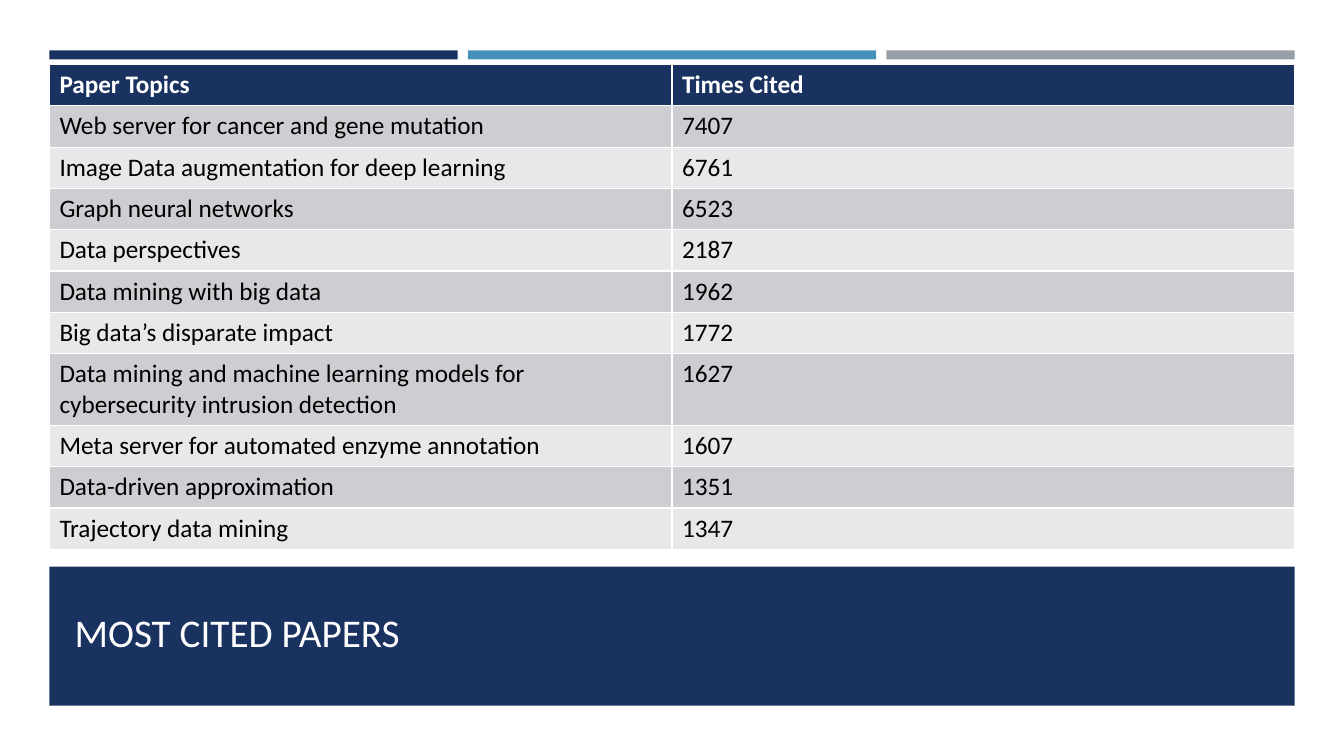
"""Build the slide that ranks the most cited papers in a table."""
import pptx
import pptx.util
import pptx.dml.color
import pptx.enum.shapes
import pptx.enum.text

Inches, Pt = pptx.util.Inches, pptx.util.Pt
RGBColor = pptx.dml.color.RGBColor

NAVY = RGBColor(0x1A, 0x32, 0x60)
BLUE = RGBColor(0x45, 0x90, 0xB8)
GRAY = RGBColor(0x96, 0x9F, 0xA7)
WHITE = RGBColor(0xFF, 0xFF, 0xFF)
TITLE_WHITE = RGBColor(0xFF, 0xFE, 0xFF)
BLACK = RGBColor(0x00, 0x00, 0x00)
DARK_BAND = RGBColor(0xCD, 0xCE, 0xD2)
LIGHT_BAND = RGBColor(0xE8, 0xE8, 0xEA)

FONT = "Calibri"
WIDTH, HEIGHT = 13.33, 7.5
LEFT, CONTENT_W = 0.49, 12.35
BAR_W, BAR_GAP = 4.05, 0.1
ROW_H = 0.41

PAPERS = [
    ("Paper Topics", "Times Cited"),
    ("Web server for cancer and gene mutation", "7407"),
    ("Image Data augmentation for deep learning", "6761"),
    ("Graph neural networks", "6523"),
    ("Data perspectives", "2187"),
    ("Data mining with big data", "1962"),
    ("Big data’s disparate impact", "1772"),
    ("Data mining and machine learning models for cybersecurity intrusion detection", "1627"),
    ("Meta server for automated enzyme annotation", "1607"),
    ("Data-driven approximation", "1351"),
    ("Trajectory data mining", "1347"),
]

prs = pptx.Presentation()
prs.slide_width, prs.slide_height = Inches(WIDTH), Inches(HEIGHT)
s = prs.slides.add_slide(prs.slide_layouts[5])


def add_rect(x, y, w, h, color):
    sp = s.shapes.add_shape(pptx.enum.shapes.MSO_SHAPE.RECTANGLE,
                            Inches(x), Inches(y), Inches(w), Inches(h))
    sp.shadow.inherit = False
    sp.fill.solid()
    sp.fill.fore_color.rgb = color
    sp.line.fill.background()


def add_run(p, text, size, color, bold=False):
    r = p.add_run()
    r.text = text
    r.font.name, r.font.size, r.font.bold = FONT, Pt(size), bold
    r.font.color.rgb = color


for i, color in enumerate((NAVY, BLUE, GRAY)):
    add_rect(LEFT + i * (BAR_W + BAR_GAP), 0.5, BAR_W, 0.1, color)
add_rect(0, 0.59, WIDTH, HEIGHT - 0.59, WHITE)
add_rect(LEFT, 5.62, CONTENT_W, 1.38, NAVY)

title = s.shapes.title
title.left, title.top = Inches(0.64), Inches(5.76)
title.width, title.height = Inches(12.06), Inches(0.79)
title.element.getparent().append(title.element)
tf = title.text_frame
tf.word_wrap = True
tf.auto_size = pptx.enum.text.MSO_AUTO_SIZE.NONE
tf.vertical_anchor = pptx.enum.text.MSO_ANCHOR.BOTTOM
p = tf.paragraphs[0]
p.alignment = pptx.enum.text.PP_ALIGN.LEFT
add_run(p, "MOST CITED PAPERS", 28, TITLE_WHITE)

table = s.shapes.add_table(len(PAPERS), 2, Inches(LEFT), Inches(0.64),
                           Inches(CONTENT_W), Inches(ROW_H * len(PAPERS))).table
for i, paper in enumerate(PAPERS):
    header = i == 0
    band = DARK_BAND if i % 2 else LIGHT_BAND
    for j, text in enumerate(paper):
        cell = table.cell(i, j)
        cell.fill.solid()
        cell.fill.fore_color.rgb = NAVY if header else band
        add_run(cell.text_frame.paragraphs[0], text, 18, WHITE if header else BLACK, header)

prs.save("out.pptx")
